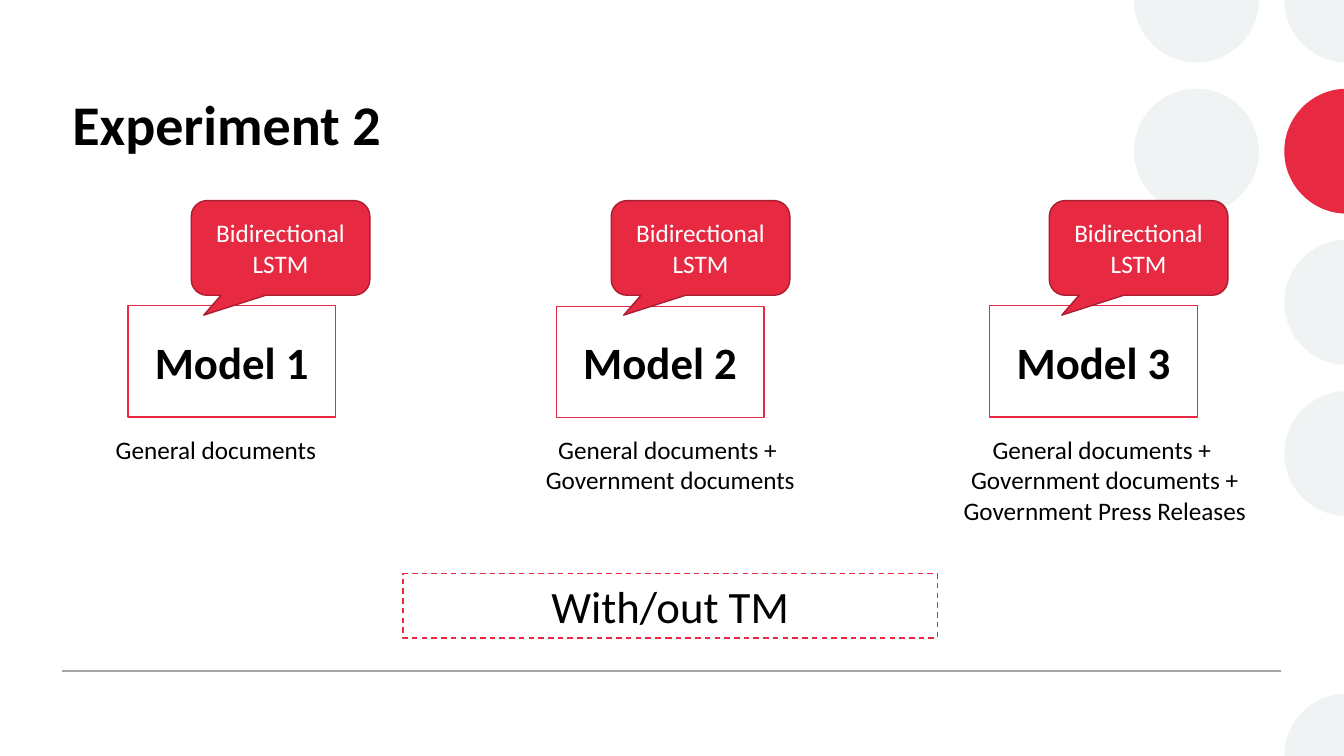
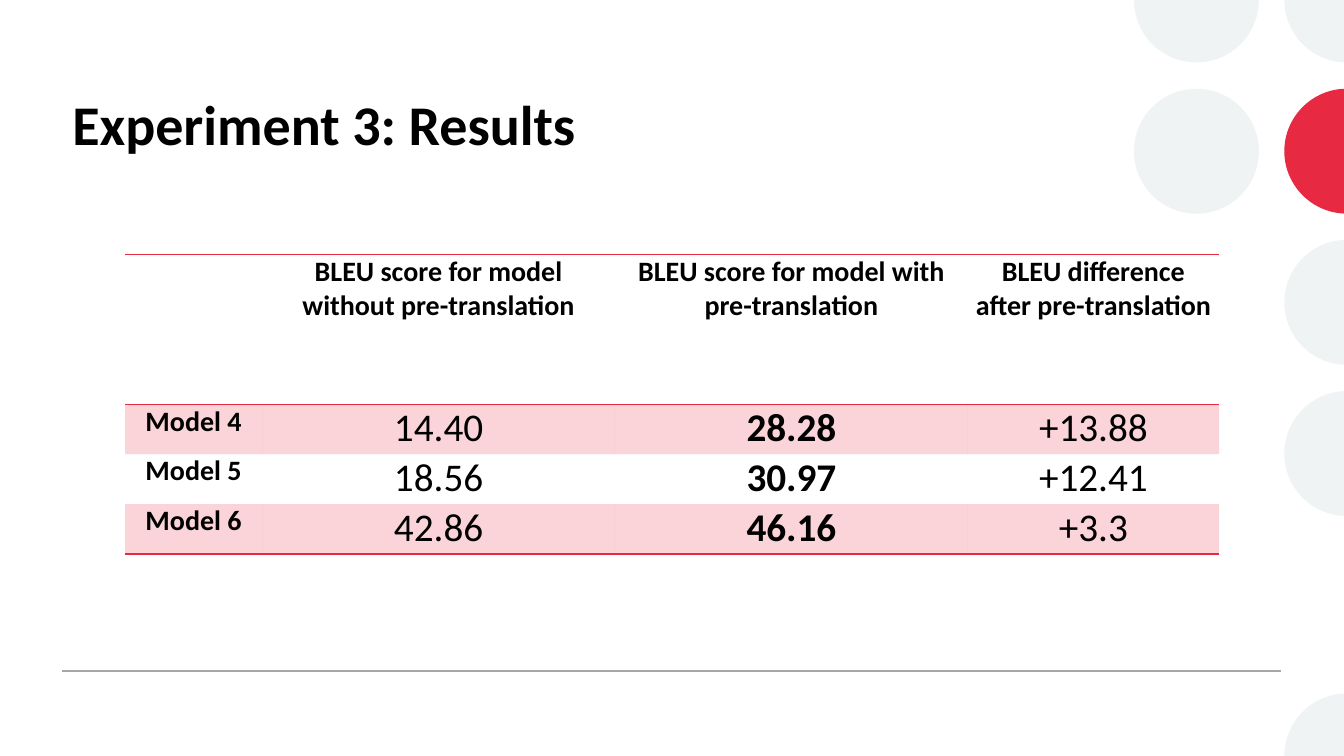
"""Build two slides on translation model experiments."""
from math import cos, radians, sin, tan

from lxml.etree import SubElement
from pptx import Presentation
from pptx.dml.color import RGBColor
from pptx.enum.dml import MSO_LINE
from pptx.enum.shapes import MSO_CONNECTOR, MSO_SHAPE
from pptx.enum.text import MSO_ANCHOR, PP_ALIGN
from pptx.oxml.ns import qn
from pptx.util import Pt

WIDTH, HEIGHT = 960, 540
FONT = "Calibri"
BLACK = RGBColor(0x00, 0x00, 0x00)
WHITE = RGBColor(0xFF, 0xFF, 0xFF)
RED = RGBColor(0xE7, 0x29, 0x42)
DARK_RED = RGBColor(0xAB, 0x1E, 0x31)
PALE = RGBColor(0xF0, 0xF3, 0xF3)
GREY = RGBColor(0xA6, 0xA6, 0xA6)
NO_STYLE = "{2D5ABB26-0587-4C30-8999-92F81FD0307C}"

RADIUS, PITCH = 44.6, 108
LEFT_DISCS, RIGHT_DISCS = 854.6, 962
RIGHT_EDGE = [92.6, 180, 267.4]
CUT_DISCS = [
    (LEFT_DISCS, 0, PALE, [0, 90, 180], []),
    (RIGHT_DISCS, 5, PALE, RIGHT_EDGE[1:], [(WIDTH, HEIGHT)]),
    (RIGHT_DISCS, 3, PALE, RIGHT_EDGE, []),
    (RIGHT_DISCS, 2, PALE, RIGHT_EDGE, []),
    (RIGHT_DISCS, 1, RED, RIGHT_EDGE, []),
    (RIGHT_DISCS, 0, PALE, RIGHT_EDGE[:2], [(WIDTH, 0)]),
]

MODELS = [
    ("Model 1", 91.4, 218.4, 136.6, 75.6, 180, PP_ALIGN.LEFT,
     "General documents"),
    ("Model 2", 397.4, 218.9, 436.6, 370.1, 217.4, PP_ALIGN.CENTER,
     "General documents + \nGovernment documents"),
    ("Model 3", 707, 218.4, 749.5, 662.4, 253.4, PP_ALIGN.CENTER,
     "General documents + \nGovernment documents +\nGovernment Press Releases"),
]

COLUMNS = [98, 252, 252, 179.5]
ROWS = [107, 35.65, 35.65, 35.65]
RESULTS = [
    ("", "BLEU score for model without pre-translation",
     "BLEU score for model with pre-translation",
     "BLEU difference after pre-translation"),
    ("Model 4", "14.40", "28.28", "+13.88"),
    ("Model 5", "18.56", "30.97", "+12.41"),
    ("Model 6", "42.86", "46.16", "+3.3"),
]


def write(tf, text, size=18, bold=False, color=BLACK, align=PP_ALIGN.CENTER):
    """Fill a text frame with one paragraph per line of text."""
    tf.word_wrap = True
    for i, line in enumerate(text.split("\n")):
        p = tf.add_paragraph() if i else tf.paragraphs[0]
        p.alignment = align
        r = p.add_run()
        r.text = line
        r.font.name, r.font.size, r.font.bold = FONT, Pt(size), bold
        r.font.color.rgb = color


def add_text(s, box, text, **style):
    """Add a text box."""
    write(s.shapes.add_textbox(*map(Pt, box)).text_frame, text, **style)


def paint(sp, fill, line=None):
    """Set fill and outline, without a shadow."""
    sp.shadow.inherit = False
    sp.fill.solid()
    sp.fill.fore_color.rgb = fill
    if line is None:
        sp.line.fill.background()
    else:
        sp.line.color.rgb = line
        sp.line.width = Pt(1)


def add_box(s, kind, box, text, fill=WHITE, line=RED, **style):
    """Add an outlined preset shape with centred text."""
    sp = s.shapes.add_shape(kind, *map(Pt, box))
    paint(sp, fill, line)
    sp.text_frame.vertical_anchor = MSO_ANCHOR.MIDDLE
    write(sp.text_frame, text, **style)
    return sp


def arc_points(cx, cy, angles):
    """Return the Bezier points of an arc through the given angles."""
    def at(angle, pull=0):
        c, n = cos(radians(angle)), sin(radians(angle))
        return cx + RADIUS * (c - pull * n), cy + RADIUS * (n + pull * c)

    points = [at(angles[0])]
    for start, end in zip(angles, angles[1:]):
        pull = 4 / 3 * tan(radians(end - start) / 4)
        points += [at(start, pull), at(end, -pull), at(end)]
    return points


def add_cut_disc(s, cx, row, color, angles, corner):
    """Add the part of a disc that lies inside the slide edge."""
    arc = arc_points(cx, row * PITCH, angles)
    points = [(Pt(x), Pt(y)) for x, y in arc + corner]
    outline = s.shapes.build_freeform(*points[0])
    outline.add_line_segments(points[1:], close=True)
    sp = outline.convert_to_shape()
    lines = list(sp._element.iter(qn("a:lnTo")))
    for i in range(0, len(arc) - 1, 3):
        curve = SubElement(lines[i].getparent(), qn("a:cubicBezTo"))
        lines[i].addprevious(curve)
        for line in lines[i:i + 3]:
            curve.append(line[0])
            line.getparent().remove(line)
    paint(sp, color)


def add_discs(s):
    """Add the discs at the upper right and along the right edge."""
    box = (LEFT_DISCS - RADIUS, PITCH - RADIUS, 2 * RADIUS, 2 * RADIUS)
    paint(s.shapes.add_shape(MSO_SHAPE.OVAL, *map(Pt, box)), PALE)
    for disc in CUT_DISCS:
        add_cut_disc(s, *disc)


def add_rule(s, x1, x2, y):
    """Add a thin horizontal line."""
    line = s.shapes.add_connector(
        MSO_CONNECTOR.STRAIGHT, Pt(x1), Pt(y), Pt(x2), Pt(y))
    line.line.color.rgb = GREY
    line.line.width = Pt(1)
    SubElement(line._element.spPr, qn("a:effectLst"))


def add_slide(prs, title):
    """Add a slide with the shared discs, footer line and title."""
    s = prs.slides.add_slide(prs.slide_layouts[6])
    add_discs(s)
    add_rule(s, 44.6, 915, 479.2)
    add_text(s, (44.6, 60.5, 577.4, 100), title,
             size=40, bold=True, align=PP_ALIGN.LEFT)
    return s


def add_model(s, name, x, y, callout_x, caption_x, caption_w, align, caption):
    """Add a model box with its callout and caption."""
    add_box(s, MSO_SHAPE.RECTANGLE, (x, y, 148.3, 79.4), name,
            size=32, bold=True)
    sp = add_box(s, MSO_SHAPE.ROUNDED_RECTANGULAR_CALLOUT,
                 (callout_x, 143.3, 127.6, 67.6), "Bidirectional LSTM",
                 fill=RED, line=DARK_RED, color=WHITE)
    sp.adjustments[0], sp.adjustments[1] = -0.43, 0.71
    add_text(s, (caption_x, 306.7, caption_w, 22 * caption.count("\n") + 29),
             caption, align=align)


def add_border(cell, *sides):
    """Draw red lines on the given cell sides."""
    tc_pr = cell._tc.get_or_add_tcPr()
    for i, side in enumerate(sides):
        ln = SubElement(tc_pr, qn(f"a:{side}"), w=str(Pt(1)))
        fill = SubElement(ln, qn("a:solidFill"))
        SubElement(fill, qn("a:srgbClr"), val=str(RED))
        tc_pr.insert(i, ln)


def tint(cell):
    """Fill a cell with red at 20% opacity."""
    cell.fill.solid()
    cell.fill.fore_color.rgb = RED
    color = cell._tc.tcPr.find(f"{qn('a:solidFill')}/{qn('a:srgbClr')}")
    SubElement(color, qn("a:alpha"), val="20000")


def add_results(s, x, y):
    """Add the table of scores."""
    frame = s.shapes.add_table(len(ROWS), len(COLUMNS), Pt(x), Pt(y),
                               Pt(sum(COLUMNS)), Pt(sum(ROWS)))
    frame._element.find(f".//{qn('a:tableStyleId')}").text = NO_STYLE
    table = frame.table
    table.first_row = table.horz_banding = False
    for column, width in zip(table.columns, COLUMNS):
        column.width = Pt(width)
    for i, values in enumerate(RESULTS):
        table.rows[i].height = Pt(ROWS[i])
        for j, value in enumerate(values):
            cell = table.cell(i, j)
            cell.margin_left = cell.margin_right = Pt(5)
            cell.margin_top = cell.margin_bottom = 0
            heading = i == 0 or j == 0
            if value:
                write(cell.text_frame, value, size=20 if heading else 28,
                      bold=heading or j == 2)
            if i % 2:
                tint(cell)
            else:
                cell.fill.background()
            if i == 0:
                add_border(cell, "lnT", "lnB")
            elif i == len(ROWS) - 1:
                tint(cell)
                add_border(cell, "lnB")


def main():
    """Build and save the presentation."""
    prs = Presentation()
    prs.slide_width, prs.slide_height = Pt(WIDTH), Pt(HEIGHT)

    s = add_slide(prs, "Experiment 2")
    for model in MODELS:
        add_model(s, *model)
    sp = add_box(s, MSO_SHAPE.RECTANGLE, (288, 409.7, 381.6, 46),
                 "With/out TM", size=32)
    sp.line.dash_style = MSO_LINE.DASH

    s = add_slide(prs, "Experiment 3: Results")
    add_results(s, 89.3, 181.8)

    prs.save("out.pptx")


if __name__ == "__main__":
    main()
